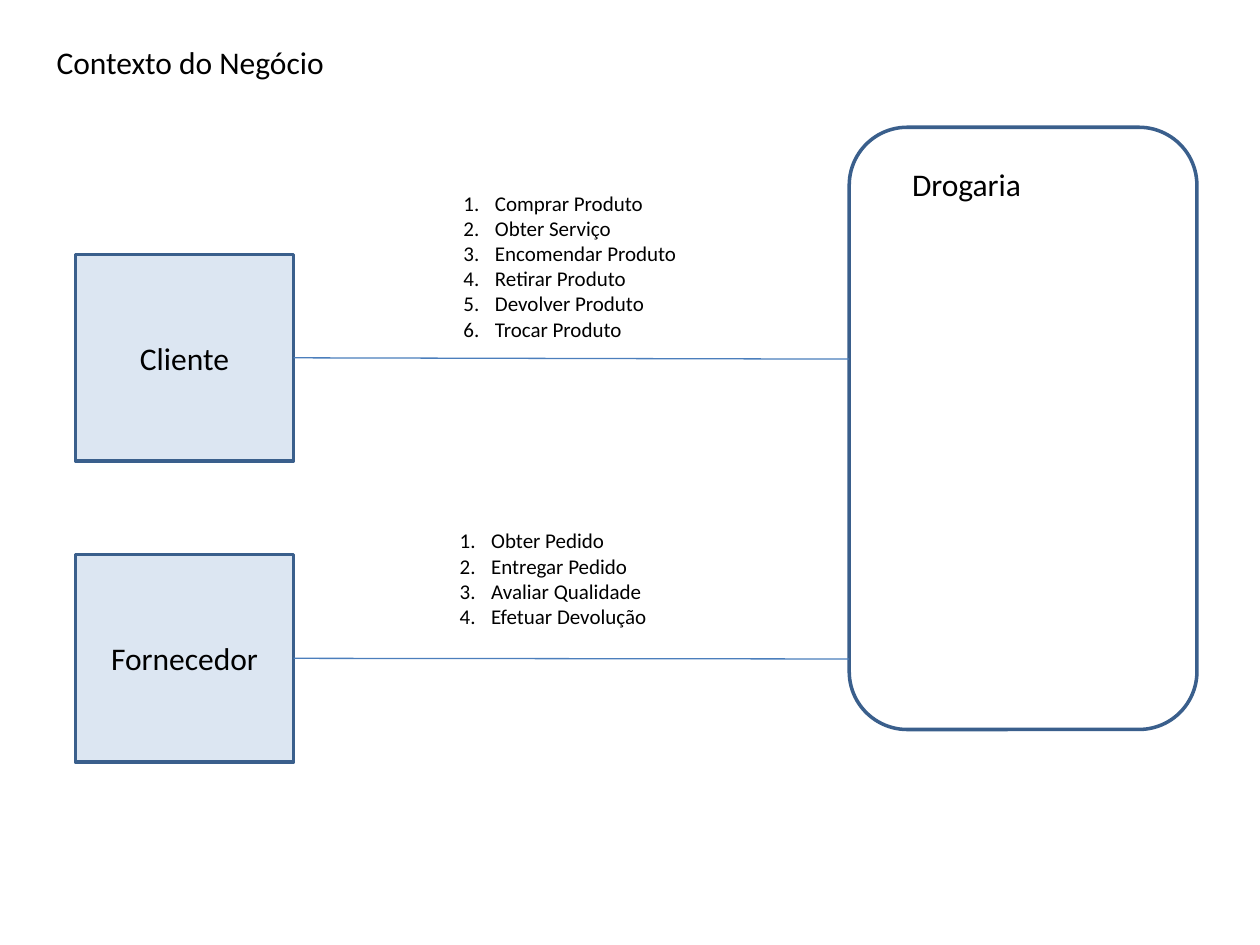
import lxml.etree
import pptx
import pptx.dml.color
import pptx.enum.shapes
import pptx.enum.text
import pptx.oxml.ns
import pptx.util

Inches = pptx.util.Inches
Pt = pptx.util.Pt
ShapeKind = pptx.enum.shapes.MSO_SHAPE
Align = pptx.enum.text.PP_ALIGN
Anchor = pptx.enum.text.MSO_ANCHOR

# Content: headings, then each actor with its use cases (places in inches)
HEADINGS = [
    ("Contexto do Negócio", (0.35, 0.29, 5.91, 0.4)),
    ("Drogaria", (7.14, 1.26, 1.57, 0.4)),
]
SYSTEM_PLACE = (6.74, 1.01, 2.76, 4.78)
ACTORS = [
    {
        "name": "Cliente",
        "place": (0.6, 2.02, 1.73, 1.64),
        "line_end": 2.85,
        "cases": ["Comprar Produto", "Obter Serviço", "Encomendar Produto",
                  "Retirar Produto", "Devolver Produto", "Trocar Produto"],
        "cases_place": (3.58, 1.46, 2.05, 1.31),
    },
    {
        "name": "Fornecedor",
        "place": (0.6, 4.4, 1.73, 1.65),
        "line_end": 5.23,
        "cases": ["Obter Pedido", "Entregar Pedido", "Avaliar Qualidade",
                  "Efetuar Devolução"],
        "cases_place": (3.55, 4.14, 3.07, 1.11),
    },
]

THEME = {
    "font": "Calibri", "large": 18, "small": 12, "text": "000000",
    "system": "FFFFFF", "actor": "DCE6F2", "border": "3A5F8C", "link": "4B7EBC",
    "border_width": 2, "link_width": 0.75,
}


def color(name):
    return pptx.dml.color.RGBColor.from_string(THEME[name])


def write(shape, lines, size, align=Align.LEFT):
    frame = shape.text_frame
    frame.word_wrap = True
    frame.text = "\n".join(lines)
    for para in frame.paragraphs:
        para.alignment = align
        for span in para.runs:
            span.font.name = THEME["font"]
            span.font.size = Pt(THEME[size])
            span.font.color.rgb = color("text")


def add_text(page, lines, place, size):
    box = page.shapes.add_textbox(*map(Inches, place))
    write(box, lines, size)
    return box


def add_box(page, kind, place, fill):
    box = page.shapes.add_shape(kind, *map(Inches, place))
    box.shadow.inherit = False
    box.fill.solid()
    box.fill.fore_color.rgb = color(fill)
    box.line.color.rgb = color("border")
    box.line.width = Pt(THEME["border_width"])
    return box


def number_paragraphs(box):
    for para in box.text_frame.paragraphs:
        properties = para._p.get_or_add_pPr()
        properties.set("marL", str(Inches(0.25)))
        properties.set("indent", str(Inches(-0.25)))
        lxml.etree.SubElement(properties, pptx.oxml.ns.qn("a:buFont"), typeface="+mj-lt")
        lxml.etree.SubElement(properties, pptx.oxml.ns.qn("a:buAutoNum"), type="arabicPeriod")


def add_link(page, actor_box, end_x, end_y):
    start_x = actor_box.left + actor_box.width
    start_y = actor_box.top + actor_box.height // 2
    link = page.shapes.add_connector(
        pptx.enum.shapes.MSO_CONNECTOR.STRAIGHT, start_x, start_y, Inches(end_x), Inches(end_y))
    link.begin_connect(actor_box, 3)
    link.line.color.rgb = color("link")
    link.line.width = Pt(THEME["link_width"])
    lxml.etree.SubElement(link._element.spPr, pptx.oxml.ns.qn("a:effectLst"))


def main():
    deck = pptx.Presentation()
    deck.slide_width, deck.slide_height = Inches(10), Inches(7.5)
    page = deck.slides.add_slide(deck.slide_layouts[6])

    # System boundary
    add_box(page, ShapeKind.ROUNDED_RECTANGLE, SYSTEM_PLACE, "system")

    # Actors, their links to the system and their numbered use cases
    for actor in ACTORS:
        box = add_box(page, ShapeKind.RECTANGLE, actor["place"], "actor")
        box.text_frame.vertical_anchor = Anchor.MIDDLE
        write(box, [actor["name"]], "large", Align.CENTER)
        add_link(page, box, SYSTEM_PLACE[0], actor["line_end"])
        number_paragraphs(add_text(page, actor["cases"], actor["cases_place"], "small"))

    # Page title and system name
    for heading, place in HEADINGS:
        add_text(page, [heading], place, "large")

    deck.save("out.pptx")


if __name__ == "__main__":
    main()
